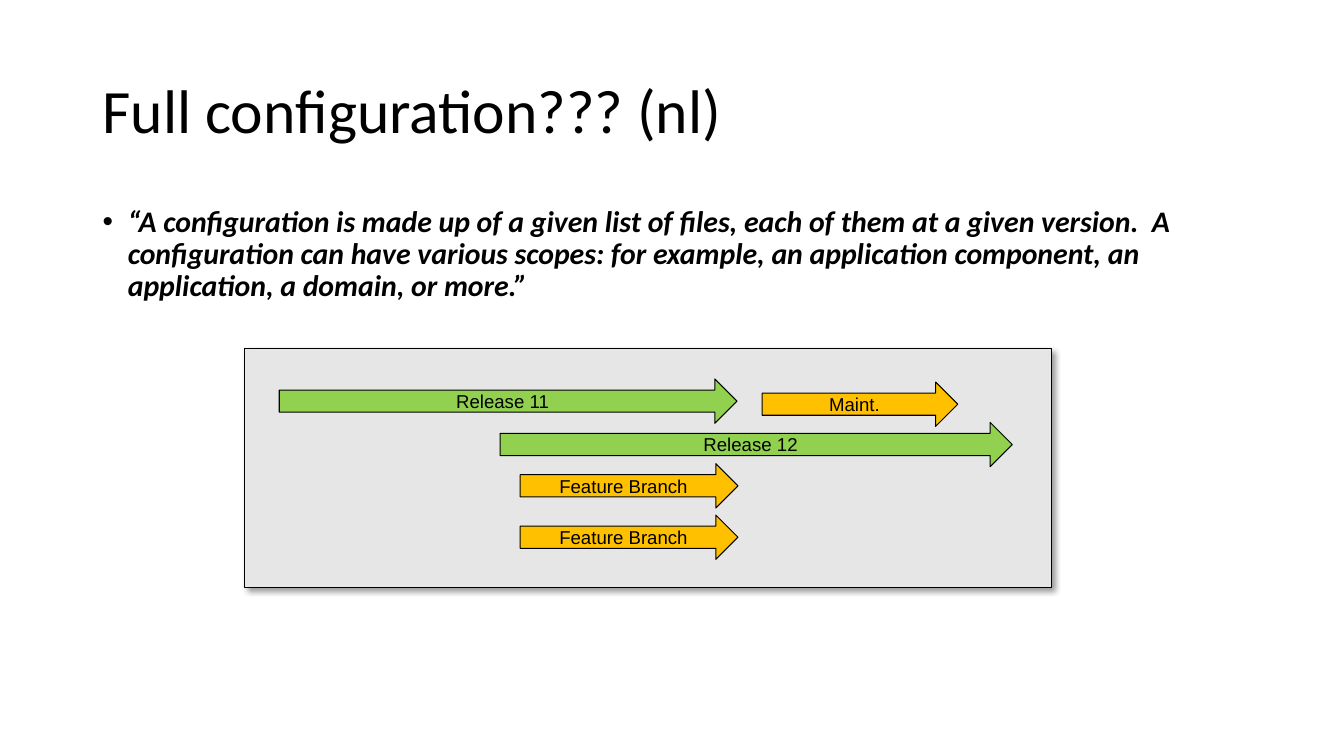
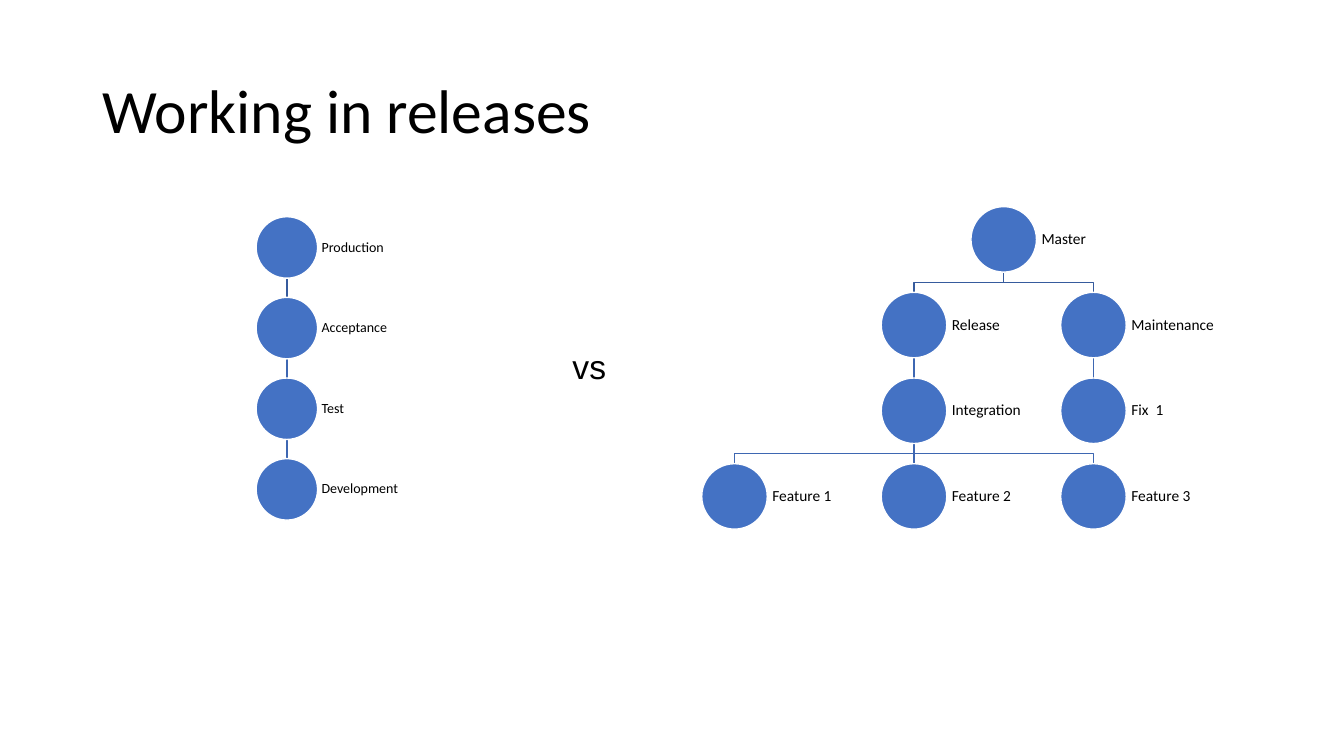
"""Build two slides about configurations and releases."""
from lxml.etree import SubElement as Sub
from pptx import Presentation
from pptx.dml.color import RGBColor as Rgb
from pptx.enum.shapes import MSO_CONNECTOR as Conn, MSO_SHAPE as Kind
from pptx.enum.text import MSO_ANCHOR as Anchor, PP_ALIGN as Align
from pptx.oxml.ns import qn
from pptx.util import Inches, Pt

BLACK, WHITE, GREY = "000000", "FFFFFF", "E7E6E6"
GREEN, AMBER, BLUE = "92D050", "FFC000", "4472C4"
TOP_LINK, LOW_LINK = "365B9D", "3E67B2"

TITLE = {"size": Pt(44), "name": "Calibri"}
QUOTE = {"size": Pt(21.3), "name": "Calibri", "bold": True, "italic": True}
ARROW = {"size": Pt(13.3), "name": "Arial"}
VERSUS = {"size": Pt(24), "name": "Arial"}

ARROWS = [
    ("Release 11", 2.77, 3.76, 4.54, GREEN),
    ("Release 12", 4.96, 4.19, 5.08, GREEN),
    ("Maint.", 7.56, 3.79, 1.94, AMBER),
    ("Feature Branch", 5.16, 4.6, 2.16, AMBER),
    ("Feature Branch", 5.16, 5.11, 2.16, AMBER),
]

STAGES = [
    ("Production", 0, 0, None),
    ("Acceptance", 0, 1, 0),
    ("Test", 0, 2, 1),
    ("Development", 0, 3, 2),
]
BRANCHES = [
    ("Master", 1.5, 0, None),
    ("Release", 1, 1, 0),
    ("Integration", 1, 2, 1),
    ("Feature 1", 0, 3, 2),
    ("Feature 2", 1, 3, 2),
    ("Feature 3", 2, 3, 2),
    ("Maintenance", 2, 1, 0),
    ("Fix  1", 2, 2, 6),
]


def rgb(code):
    """Turn a hex string into a colour."""
    return Rgb.from_string(code)


def write(frame, words, font, inset=None, **form):
    """Put one styled paragraph in a text frame."""
    para = frame.paragraphs[0]
    for key, val in form.items():
        setattr(para, key, val)
    run = para.add_run()
    run.text = words
    for key, val in font.items():
        setattr(run.font, key, val)
    run.font.color.rgb = rgb(BLACK)
    if inset is not None:
        for side in ("left", "top", "right", "bottom"):
            setattr(frame, "margin_" + side, Inches(inset))
    return para


def text(slide, words, box, font, anchor=Anchor.TOP, wrap=True, **form):
    """Add a text box and return its paragraph."""
    frame = slide.shapes.add_textbox(*map(Inches, box)).text_frame
    frame.word_wrap = wrap
    frame.vertical_anchor = anchor
    return write(frame, words, font, **form)


def title(slide, words):
    """Add the slide title."""
    text(slide, words, (0.92, 0.4, 11.5, 1.45), TITLE, Anchor.MIDDLE,
         line_spacing=0.9)


def bullet(para):
    """Give a paragraph a hanging bullet."""
    props = para._p.get_or_add_pPr()
    props.set("marL", str(Inches(0.25)))
    props.set("indent", str(-Inches(0.25)))
    Sub(props, qn("a:buFont")).set("typeface", "Arial")
    Sub(props, qn("a:buChar")).set("char", "•")


def shape(slide, kind, box, fill, line=BLACK, width=0.75):
    """Add a filled preset shape with no shadow."""
    item = slide.shapes.add_shape(kind, *map(Inches, box))
    item.shadow.inherit = False
    item.fill.solid()
    item.fill.fore_color.rgb = rgb(fill)
    item.line.color.rgb = rgb(line)
    item.line.width = Pt(width)
    return item


def shade(item):
    """Cast a soft shadow down and to the right."""
    list_ = item._element.spPr.find(qn("a:effectLst"))
    cast = Sub(list_, qn("a:outerShdw"))
    form = {"blurRad": Pt(4), "dist": Pt(3), "dir": 45 * 60000,
            "algn": "tl", "rotWithShape": 0}
    for key, val in form.items():
        cast.set(key, str(val))
    tint = Sub(cast, qn("a:srgbClr"))
    tint.set("val", BLACK)
    Sub(tint, qn("a:alpha")).set("val", "40000")


def arrow(slide, words, left, top, width, fill):
    """Add a labelled block arrow."""
    item = shape(slide, Kind.RIGHT_ARROW, (left, top, width, 0.44), fill)
    frame = item.text_frame
    frame.vertical_anchor = Anchor.MIDDLE
    write(frame, words, ARROW, inset=0, alignment=Align.CENTER)


def link(slide, start, end, hue):
    """Join two points, with a mid-height step if they are not aligned."""
    (ax, ay), (bx, by) = start, end
    if ax == bx:
        line = slide.shapes.add_connector(
            Conn.STRAIGHT, *map(Inches, (ax, ay, bx, by)))
        Sub(line._element.spPr, qn("a:effectLst"))
    else:
        mid = (ay + by) / 2
        pen = slide.shapes.build_freeform(Inches(ax), Inches(ay))
        turns = [(ax, mid), (bx, mid), end]
        pen.add_line_segments(
            [(Inches(x), Inches(y)) for x, y in turns], close=False)
        line = pen.convert_to_shape()
        line.fill.background()
        line.shadow.inherit = False
    line.line.color.rgb = rgb(hue)
    line.line.width = Pt(1)


def tree(slide, nodes, left, top, size, step, points, inset):
    """Draw linked circles on a grid, each with a label at its right."""
    spots = [(left + col * step[0], top + row * step[1])
             for _, col, row, _ in nodes]
    half = size / 2
    for (_, _, row, above), (x, y) in zip(nodes, spots):
        if above is not None:
            px, py = spots[above]
            link(slide, (px + half, py + size), (x + half, y),
                 TOP_LINK if row == 1 else LOW_LINK)
    font = {"size": Pt(points), "name": "Calibri"}
    for (words, *_), (x, y) in zip(nodes, spots):
        shape(slide, Kind.OVAL, (x, y, size, size), BLUE, WHITE, 1)
        text(slide, words, (x + size, y, size * 1.5, size), font,
             Anchor.MIDDLE, inset=inset, line_spacing=0.9)


def config(slide):
    """Fill the slide on full configurations."""
    title(slide, "Full configuration??? (nl)")
    quote = text(
        slide,
        "“A configuration is made up of a given list of files, each of them "
        "at a given version.  A configuration can have various scopes: for "
        "example, an application component, an application, a domain, "
        "or more.”",
        (0.92, 2, 11.5, 1.2), QUOTE, line_spacing=0.9)
    bullet(quote)
    shade(shape(slide, Kind.RECTANGLE, (2.43, 3.46, 8, 2.37), GREY))
    for row in ARROWS:
        arrow(slide, *row)


def release(slide):
    """Fill the slide on working in releases."""
    title(slide, "Working in releases")
    tree(slide, STAGES, 2.54, 2.15, 0.61, (0, 0.8), 10, 0.04)
    tree(slide, BRANCHES, 6.96, 2.05, 0.65, (1.78, 0.85), 11, 0.05)
    text(slide, "vs", (5.58, 3.38, 0.54, 0.5), VERSUS, wrap=False)


def main():
    """Build and save the deck."""
    deck = Presentation()
    deck.slide_width, deck.slide_height = Inches(13.33), Inches(7.5)
    for fill in (config, release):
        fill(deck.slides.add_slide(deck.slide_layouts[6]))
    deck.save("out.pptx")


if __name__ == "__main__":
    main()
